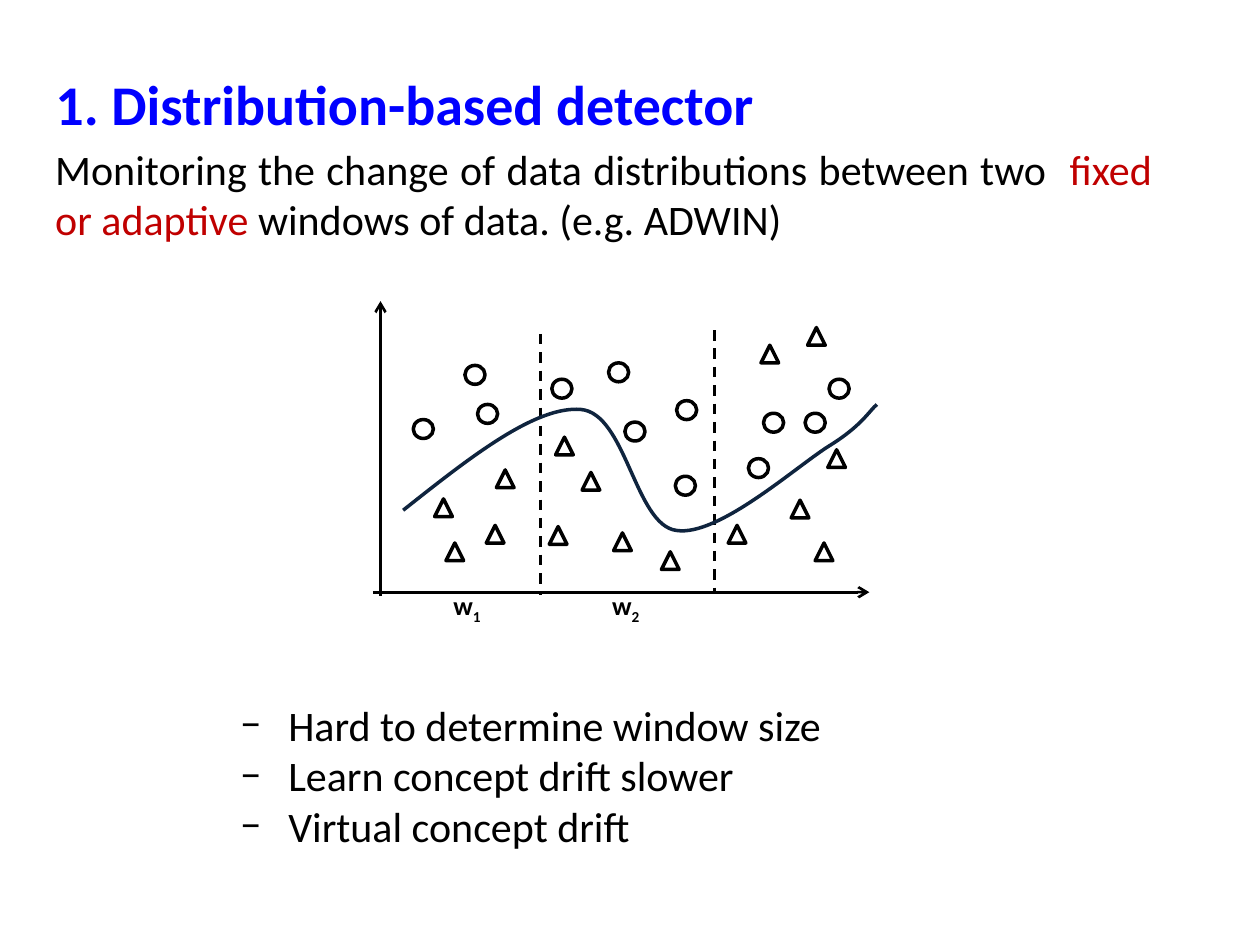
from lxml.etree import SubElement
from pptx import Presentation
from pptx.dml.color import RGBColor
from pptx.enum.dml import MSO_LINE as Dash
from pptx.enum.shapes import MSO_CONNECTOR as Connector, MSO_SHAPE as Shape
from pptx.enum.text import MSO_ANCHOR as Anchor, MSO_AUTO_SIZE as AutoSize, PP_ALIGN as Align
from pptx.oxml.ns import qn
from pptx.util import Inches, Pt

BLACK, BLUE, RED, NAVY = "000000", "0000FF", "C00000", "0F243E"
TITLE = {"name": "Calibri", "size": Pt(32), "bold": True}
BODY = {"name": "Calibri", "size": Pt(24), "bold": False}
LABEL = {"name": "Calibri", "size": Pt(15), "bold": True}

CIRCLES = [
    (0.32, 0.94), (1.42, 0.62), (0.73, 0.51), (0.83, 0.82), (1.87, 0.49), (2.4, 1.39),
    (2, 0.96), (3.1, 0.89), (2.98, 1.25), (2.41, 0.79), (3.43, 0.89), (3.62, 0.62),
]
TRIANGLES = [
    (0.49, 1.57), (0.58, 1.92), (0.98, 1.34), (1.45, 1.08), (1.4, 1.79),
    (0.9, 1.78), (1.66, 1.36), (1.91, 1.84), (2.29, 1.99), (2.82, 1.78),
    (3.32, 1.58), (3.61, 1.18), (3.51, 1.92), (3.08, 0.35), (3.45, 0.21),
]
CURVE = [
    (0.24, 1.66), (0.77, 1.24), (1.29, 0.83), (1.65, 0.86), (2.01, 0.89),
    (2.08, 1.78), (2.41, 1.82), (2.74, 1.87), (3.35, 1.32), (3.62, 1.15),
    (3.88, 0.99), (3.94, 0.87), (4, 0.82),
]
WINDOW_EDGES = [(1.33, 0.26, 1.33, 2.33), (2.71, 0.23, 2.71, 2.31)]
AXES = [(0, 2.31, 3.94, 2.31), (0.06, 2.34, 0.06, 0)]
WINDOW_LABELS = [("1", 0.54), ("2", 1.8)]


def color(value):
    """Turn a hex string into a colour."""
    return RGBColor.from_string(value)


def add_span(para, text, style, fill=BLACK):
    """Add a formatted run to a paragraph."""
    span = para.add_run()
    span.text = text
    for key, value in style.items():
        setattr(span.font, key, value)
    span.font.color.rgb = color(fill)
    return span


def add_text_frame(shapes, box):
    """Add a wrapping text box and return its frame."""
    frame = shapes.add_textbox(*map(Inches, box)).text_frame
    frame.word_wrap = True
    return frame


def set_line(item, fill, width):
    """Give a shape or connector a plain solid line."""
    item.line.color.rgb = color(fill)
    item.line.width = Pt(width)


def add_title(page, box):
    """Place the heading in the title placeholder."""
    title = page.shapes.title
    title.left, title.top, title.width, title.height = map(Inches, box)
    frame = title.text_frame
    settings = {"word_wrap": True, "auto_size": AutoSize.NONE, "vertical_anchor": Anchor.TOP}
    for key, value in settings.items():
        setattr(frame, key, value)
    para = frame.paragraphs[0]
    para.alignment = Align.LEFT
    add_span(para, "1. Distribution-based detector", TITLE, BLUE)


def add_summary(page, box):
    """Place the explanation with its red phrase."""
    para = add_text_frame(page.shapes, box).paragraphs[0]
    para.alignment = Align.JUSTIFY
    add_span(para, "Monitoring the change of data distributions between two  ", BODY)
    add_span(para, "fixed or adaptive ", BODY, RED)
    add_span(para, "windows of data. (e.g. ADWIN)", BODY)


def add_drawbacks(page, box):
    """Place the dashed list of drawbacks."""
    frame = add_text_frame(page.shapes, box)
    drawbacks = ["Hard to determine window size", "Learn concept drift slower", "Virtual concept drift"]
    for index, text in enumerate(drawbacks):
        para = frame.add_paragraph() if index else frame.paragraphs[0]
        para.alignment = Align.JUSTIFY
        add_span(para, text, BODY)
        properties = para._p.get_or_add_pPr()
        properties.set("marL", str(Inches(0.38)))
        properties.set("indent", str(-Inches(0.38)))
        SubElement(properties, qn("a:buFont"), typeface="Calibri")
        SubElement(properties, qn("a:buChar"), char="−")


def add_marks(shapes, kind, points, width, height, origin):
    """Draw one hollow data mark at each point."""
    left, top = origin
    for x, y in points:
        mark = shapes.add_shape(kind, *map(Inches, (left + x, top + y, width, height)))
        mark.shadow.inherit = False
        mark.fill.background()
        set_line(mark, BLACK, 2)


def add_rule(shapes, ends, origin):
    """Draw a straight black line without a shadow."""
    left, top = origin
    x1, y1, x2, y2 = ends
    places = map(Inches, (left + x1, top + y1, left + x2, top + y2))
    rule = shapes.add_connector(Connector.STRAIGHT, *places)
    set_line(rule, BLACK, 1.5)
    SubElement(rule.element.spPr, qn("a:effectLst"))
    return rule


def add_curve(shapes, points, origin):
    """Draw a smooth open curve through cubic control points."""
    left, top = origin
    places = [(Inches(left + x), Inches(top + y)) for x, y in points]
    builder = shapes.build_freeform(*places[0])
    builder.add_line_segments(places[1:], close=False)
    curve = builder.convert_to_shape()
    curve.shadow.inherit = False
    curve.fill.background()
    set_line(curve, NAVY, 2)
    outline = next(curve.element.iter(qn("a:path")))
    segments = outline.findall(qn("a:lnTo"))
    for start in range(0, len(segments), 3):
        bend = SubElement(outline, qn("a:cubicBezTo"))
        for segment in segments[start:start + 3]:
            bend.append(segment[0])
            outline.remove(segment)


def add_plot(page, box):
    """Draw the data marks, windows, axes and boundary."""
    shapes = page.shapes.add_group_shape().shapes
    origin = box[:2]
    add_marks(shapes, Shape.OVAL, CIRCLES, 0.16, 0.15, origin)
    for ends in WINDOW_EDGES:
        add_rule(shapes, ends, origin).line.dash_style = Dash.DASH
    for ends in AXES:
        axis = add_rule(shapes, ends, origin)
        SubElement(axis.line._get_or_add_ln(), qn("a:tailEnd"), type="arrow")
    add_marks(shapes, Shape.ISOSCELES_TRIANGLE, TRIANGLES, 0.14, 0.14, origin)
    for number, x in WINDOW_LABELS:
        label_box = (origin[0] + x, origin[1] + 2.24, 0.79, 0.44)
        para = add_text_frame(shapes, label_box).paragraphs[0]
        add_span(para, "w", LABEL)
        subscript = add_span(para, number, LABEL)
        subscript.font._element.set("baseline", "-25000")
    add_curve(shapes, CURVE, origin)


def main():
    """Build and save the slide."""
    deck = Presentation()
    deck.slide_width, deck.slide_height = Inches(10), Inches(7.5)
    page = deck.slides.add_slide(deck.slide_layouts[5])
    add_title(page, (0.34, 0.5, 8.9, 0.6))
    add_summary(page, (0.34, 1.09, 8.9, 0.91))
    add_drawbacks(page, (1.81, 5.5, 6.35, 1.31))
    add_plot(page, (2.96, 2.39, 4, 2.68))
    deck.save("out.pptx")


if __name__ == "__main__":
    main()
